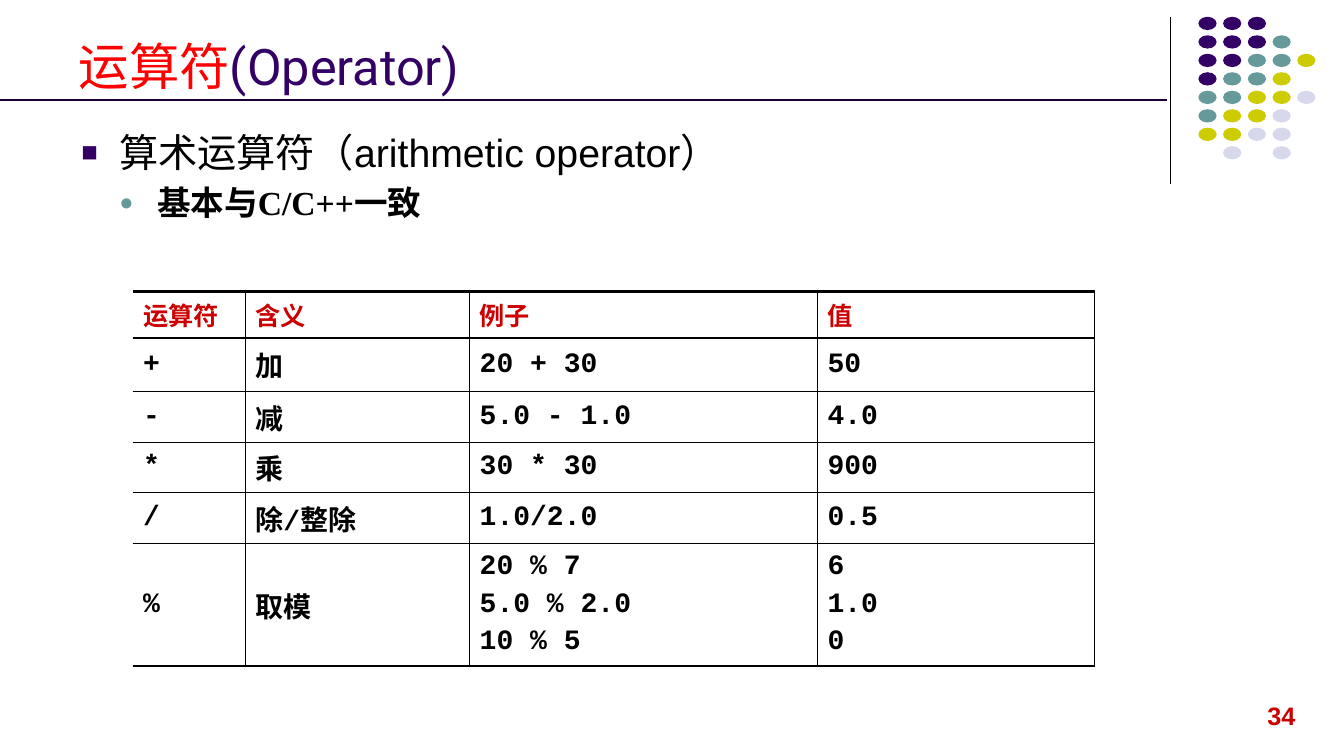
from dataclasses import dataclass

from lxml import etree
from pptx import Presentation
from pptx.dml.color import RGBColor
from pptx.enum.shapes import MSO_CONNECTOR, MSO_SHAPE
from pptx.enum.text import MSO_ANCHOR, MSO_AUTO_SIZE, PP_ALIGN
from pptx.oxml.ns import qn
from pptx.slide import Slide
from pptx.table import _Cell
from pptx.text.text import Font, _Paragraph
from pptx.util import Pt

STRAIGHT = MSO_CONNECTOR.STRAIGHT
OVAL = MSO_SHAPE.OVAL
BOTTOM, MIDDLE, TOP = MSO_ANCHOR.BOTTOM, MSO_ANCHOR.MIDDLE, MSO_ANCHOR.TOP
NO_AUTOFIT = MSO_AUTO_SIZE.NONE
LEFT, RIGHT = PP_ALIGN.LEFT, PP_ALIGN.RIGHT

COLORS = {
    "purple": "330066",
    "teal": "669999",
    "olive": "CCCC00",
    "lavender": "D8D8EC",
    "rule": "190033",
    "black": "000000",
    "red": "FF0000",
    "crimson": "CC0000",
}

DOT_COLORS = {"P": "purple", "T": "teal", "O": "olive", "L": "lavender"}
DOT_ROWS = ["PPP", "PPPT", "PPTTO", "PTTO", "TTOOL", "TOOL", "OOLL", " L L"]

COLUMN_WIDTHS = [80.2, 160.3, 248.4, 198]
ROW_HEIGHTS = [33.5, 38, 36.5, 36, 36.5, 83]
OPERATORS = [
    ("运算符", "含义", "例子", "值"),
    ("+", "加", "20 + 30", "50"),
    ("-", "减", "5.0 - 1.0", "4.0"),
    ("*", "乘", "30 * 30", "900"),
    ("/", "除/整除", "1.0/2.0", "0.5"),
    ("%", "取模", "20 % 7\n5.0 % 2.0\n10 % 5", "6\n1.0\n0"),
]


@dataclass
class Rule:
    x1: float
    y1: float
    x2: float
    y2: float
    color: str
    width: float


@dataclass
class Bullet:
    text: str
    level: int
    indent: float
    space_before: float
    mark: str
    mark_color: str
    face: str
    size: float
    bold: bool


RULES = [
    Rule(835.9, 12.2, 835.9, 131.8, "black", 0.75),
    Rule(0, 71.3, 833.8, 71.3, "rule", 1.5),
]
BULLETS = [
    Bullet("算术运算符（arithmetic operator）", 0, 27, 0, "■", "purple", "Arial", 28, False),
    Bullet("基本与C/C++一致", 1, 54, 4.8, "●", "teal", "Times New Roman", 24, True),
]


def rgb(color: str) -> RGBColor:
    return RGBColor.from_string(COLORS[color])


def style(font: Font, face: str, size: float, color: str, bold: bool = False) -> None:
    font.name = face
    font.size = Pt(size)
    font.bold = bold
    font.color.rgb = rgb(color)


def draw_rule(slide: Slide, rule: Rule) -> None:
    connector = slide.shapes.add_connector(
        STRAIGHT, Pt(rule.x1), Pt(rule.y1), Pt(rule.x2), Pt(rule.y2))
    connector.line.color.rgb = rgb(rule.color)
    connector.line.width = Pt(rule.width)
    etree.SubElement(connector._element.spPr, qn("a:effectLst"))


def draw_dots(slide: Slide) -> None:
    for row, codes in enumerate(DOT_ROWS):
        for column, code in enumerate(codes):
            if code == " ":
                continue
            dot = slide.shapes.add_shape(
                OVAL, Pt(856 + 17.65 * column), Pt(12 + 13.2 * row), Pt(13), Pt(9.5))
            dot.shadow.inherit = False
            dot.fill.solid()
            dot.fill.fore_color.rgb = rgb(DOT_COLORS[code])
            dot.line.fill.background()


def draw_page_number(slide: Slide) -> None:
    page_number = slide.shapes.add_textbox(Pt(895.7), Pt(497), Pt(36.7), Pt(29))
    frame = page_number.text_frame
    frame.word_wrap = False
    paragraph = frame.paragraphs[0]
    paragraph.text = "34"
    paragraph.alignment = RIGHT
    style(paragraph.font, "Arial", 18, "crimson", True)


def fill_title(slide: Slide) -> None:
    title = slide.shapes.title
    title.left, title.top, title.width, title.height = Pt(49), Pt(15), Pt(792), Pt(57)
    frame = title.text_frame
    frame.auto_size = NO_AUTOFIT
    frame.vertical_anchor = BOTTOM
    paragraph = frame.paragraphs[0]
    paragraph.alignment = LEFT
    for text, color in (("运算符", "red"), ("(Operator)", "purple")):
        run = paragraph.add_run()
        run.text = text
        style(run.font, "Roboto", 36, color)


def add_mark(paragraph: _Paragraph, bullet: Bullet) -> None:
    properties = paragraph._p.get_or_add_pPr()
    properties.set("marL", str(Pt(bullet.indent)))
    properties.set("indent", str(-Pt(27)))
    mark_color = etree.SubElement(properties, qn("a:buClr"))
    etree.SubElement(mark_color, qn("a:srgbClr"), val=COLORS[bullet.mark_color])
    etree.SubElement(properties, qn("a:buSzPct"), val="70000")
    etree.SubElement(properties, qn("a:buFont"), typeface="Arial")
    etree.SubElement(properties, qn("a:buChar"), char=bullet.mark)


def fill_body(slide: Slide) -> None:
    body = slide.placeholders[1]
    body.left, body.top, body.width, body.height = Pt(51), Pt(88), Pt(864), Pt(80.6)
    frame = body.text_frame
    frame.auto_size = NO_AUTOFIT
    frame.vertical_anchor = TOP
    for index, bullet in enumerate(BULLETS):
        paragraph = frame.add_paragraph() if index else frame.paragraphs[0]
        paragraph.text = bullet.text
        paragraph.level = bullet.level
        paragraph.space_before = Pt(bullet.space_before)
        add_mark(paragraph, bullet)
        style(paragraph.font, bullet.face, bullet.size, "black", bullet.bold)


def add_borders(cell: _Cell, row: int, column: int) -> None:
    widths = {"lnL": 1 if column else 0, "lnR": 1, "lnT": 1 if row else 2.25, "lnB": 1}
    properties = cell._tc.get_or_add_tcPr()
    for side, width in widths.items():
        border = etree.SubElement(properties, qn(f"a:{side}"), w=str(Pt(width)))
        if width:
            fill = etree.SubElement(border, qn("a:solidFill"))
            etree.SubElement(fill, qn("a:srgbClr"), val=COLORS["black"])
        else:
            etree.SubElement(border, qn("a:noFill"))


def draw_operator_table(slide: Slide) -> None:
    frame = slide.shapes.add_table(
        len(OPERATORS), len(COLUMN_WIDTHS), Pt(95), Pt(208),
        Pt(sum(COLUMN_WIDTHS)), Pt(sum(ROW_HEIGHTS)))
    operators = frame.table
    operators.first_row = False
    operators.horz_banding = False
    for column, width in enumerate(COLUMN_WIDTHS):
        operators.columns[column].width = Pt(width)
    for row, (height, values) in enumerate(zip(ROW_HEIGHTS, OPERATORS)):
        operators.rows[row].height = Pt(height)
        size, color = (20, "black") if row else (18, "crimson")
        for column, value in enumerate(values):
            cell = operators.cell(row, column)
            add_borders(cell, row, column)
            cell.fill.background()
            cell.vertical_anchor = MIDDLE
            cell.text = value
            for index, paragraph in enumerate(cell.text_frame.paragraphs):
                paragraph.space_before = Pt(4 if index else 0)
                style(paragraph.font, "Courier New", size, color, True)


def main() -> None:
    presentation = Presentation()
    presentation.slide_width, presentation.slide_height = Pt(960), Pt(540)
    slide = presentation.slides.add_slide(presentation.slide_layouts[1])
    draw_dots(slide)
    draw_page_number(slide)
    fill_title(slide)
    fill_body(slide)
    for rule in RULES:
        draw_rule(slide, rule)
    draw_operator_table(slide)
    presentation.save("out.pptx")


if __name__ == "__main__":
    main()
